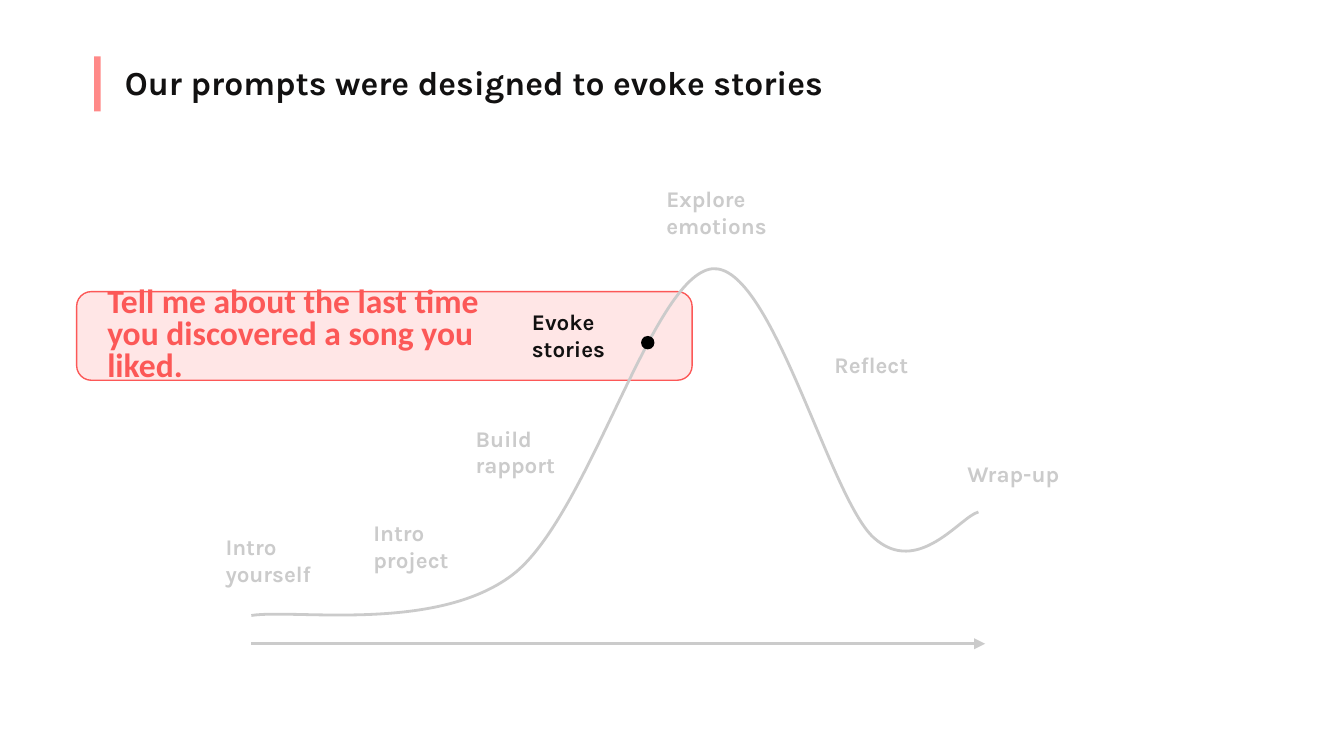
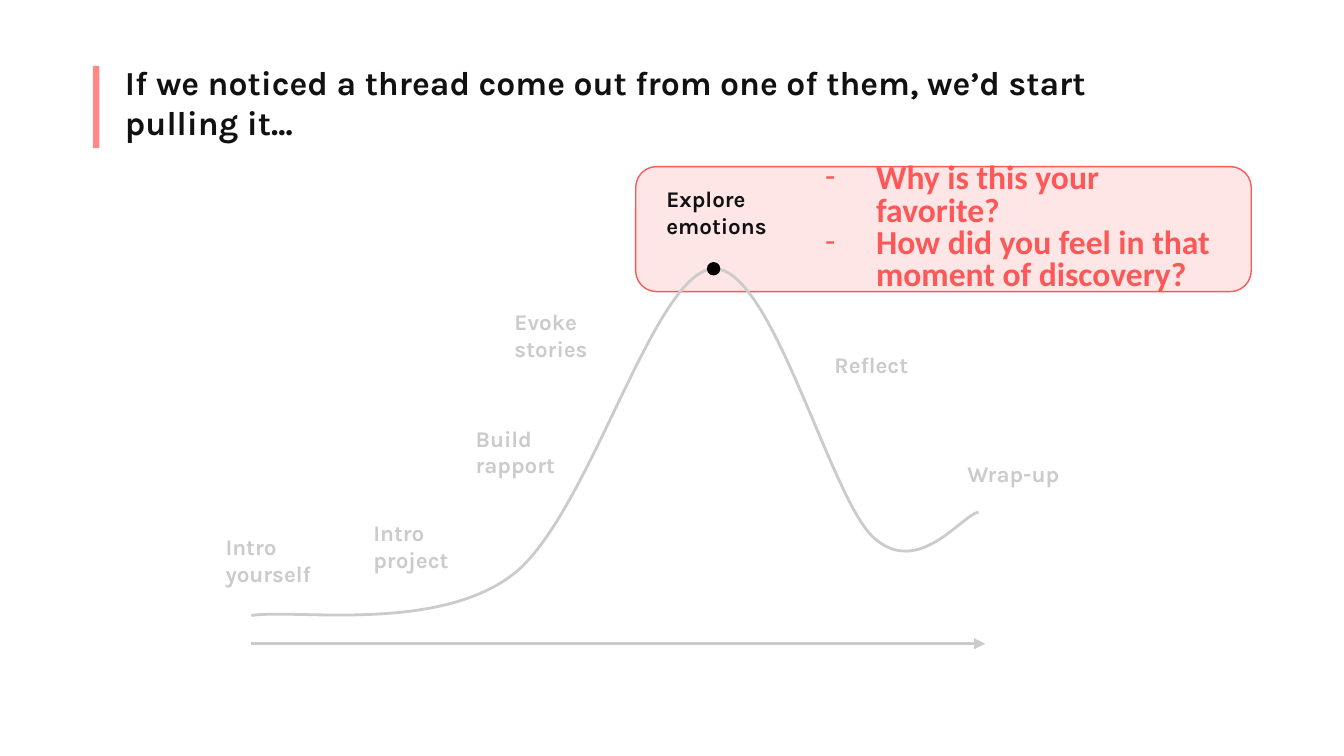
from dataclasses import dataclass

from lxml.etree import SubElement
from pptx import Presentation
from pptx.dml.color import RGBColor
from pptx.enum.shapes import MSO_CONNECTOR, MSO_SHAPE
from pptx.enum.text import MSO_ANCHOR, MSO_AUTO_SIZE, PP_ALIGN
from pptx.oxml.ns import qn
from pptx.shapes.base import BaseShape
from pptx.slide import Slide
from pptx.text.text import TextFrame
from pptx.util import Inches, Pt

INK = RGBColor(0x12, 0x11, 0x11)
BLACK = RGBColor(0, 0, 0)
GREY = RGBColor(0xCB, 0xCB, 0xCB)
CORAL = RGBColor(0xFC, 0x58, 0x57)
BLUSH = RGBColor(0xFF, 0xDE, 0xDE)
ACCENT = RGBColor(0xFF, 0x89, 0x88)

HEADING_FONT = "Karla"
PROMPT_FONT = "Calibri"
PAGE_WIDTH = 10
INSET = Inches(0.1)
DOT_SIZE = 0.1
LABEL_HEIGHT = 0.51

CURVE_POINTS = [
    (1.87, 4.58),
    (2.19, 4.53), (3.24, 4.71), (3.81, 4.28),
    (4.38, 3.85), (4.85, 2.05), (5.3, 2),
    (5.74, 1.96), (6.17, 3.7), (6.5, 4),
    (6.83, 4.3), (7.15, 3.84), (7.28, 3.81),
]


@dataclass(frozen=True)
class Area:
    left: float
    top: float
    width: float
    height: float

    def lengths(self) -> tuple:
        return tuple(map(Inches, (self.left, self.top, self.width, self.height)))


@dataclass(frozen=True)
class Stage:
    name: str
    left: float
    top: float
    width: float = 1
    anchor: MSO_ANCHOR = MSO_ANCHOR.TOP


@dataclass(frozen=True)
class StoryPage:
    title: str
    bar: Area
    active: str
    evoke_left: float
    callout: Area
    prompt_area: Area
    prompts: tuple[str, ...]
    dot: tuple[float, float]


STAGES = [
    Stage("Intro yourself", 1.58, 3.87),
    Stage("Intro project", 2.68, 3.76),
    Stage("Build rapport", 3.44, 3.06),
    Stage("Explore emotions", 4.86, 1.28),
    Stage("Reflect", 6.11, 2.51, 1.31),
    Stage("Wrap-up", 7.1, 3.32, 1.31),
]

PAGES = [
    StoryPage(
        title="Our prompts were designed to evoke stories",
        bar=Area(0.7, 0.42, 0.05, 0.41),
        active="Evoke stories",
        evoke_left=3.86,
        callout=Area(0.57, 2.17, 4.58, 0.66),
        prompt_area=Area(0.7, 2.37, 3.33, 0.26),
        prompts=("Tell me about the last time you discovered a song you liked.",),
        dot=(4.77, 2.5),
    ),
    StoryPage(
        title="If we noticed a thread come out from one of them, we’d start pulling it...",
        bar=Area(0.69, 0.49, 0.05, 0.61),
        active="Explore emotions",
        evoke_left=3.73,
        callout=Area(4.73, 1.24, 4.58, 0.93),
        prompt_area=Area(5.92, 1.49, 3.31, 0.42),
        prompts=("Why is this your favorite?", "How did you feel in that moment of discovery?"),
        dot=(5.26, 1.95),
    ),
]


def add_dash(para) -> None:
    properties = para._p.get_or_add_pPr()
    properties.set("marL", str(Inches(0.5)))
    properties.set("indent", str(Inches(-0.38)))
    color = SubElement(properties, qn("a:buClr"))
    SubElement(color, qn("a:srgbClr"), val=str(CORAL))
    SubElement(properties, qn("a:buFont"), typeface=PROMPT_FONT)
    SubElement(properties, qn("a:buChar"), char="-")


def write_text(frame: TextFrame, *lines: str, font: str = HEADING_FONT, size: int = 12,
               color: RGBColor = INK, anchor: MSO_ANCHOR = MSO_ANCHOR.TOP,
               spacing: float = 1.0, dashed: bool = False) -> None:
    frame.word_wrap = True
    frame.auto_size = MSO_AUTO_SIZE.NONE
    frame.vertical_anchor = anchor
    frame.margin_left = frame.margin_right = INSET
    frame.margin_top = frame.margin_bottom = INSET
    for index, line in enumerate(lines):
        para = frame.add_paragraph() if index else frame.paragraphs[0]
        if dashed:
            add_dash(para)
        para.alignment = PP_ALIGN.LEFT
        para.line_spacing = spacing
        span = para.add_run()
        span.text = line
        span.font.name = font
        span.font.size = Pt(size)
        span.font.bold = True
        span.font.color.rgb = color


def add_filled(page: Slide, kind: MSO_SHAPE, area: Area, color: RGBColor) -> BaseShape:
    shape = page.shapes.add_shape(kind, *area.lengths())
    shape.shadow.inherit = False
    shape.fill.solid()
    shape.fill.fore_color.rgb = color
    shape.line.fill.background()
    return shape


def add_callout(page: Slide, area: Area) -> None:
    box = add_filled(page, MSO_SHAPE.ROUNDED_RECTANGLE, area, BLUSH)
    box.line.color.rgb = CORAL
    box.line.width = Pt(0.75)
    fill_color = box._element.spPr.find(qn("a:solidFill")).find(qn("a:srgbClr"))
    SubElement(fill_color, qn("a:alpha"), val="74000")


def add_time_arrow(page: Slide) -> None:
    arrow = page.shapes.add_connector(
        MSO_CONNECTOR.STRAIGHT, Inches(1.87), Inches(4.79), Inches(7.33), Inches(4.79))
    arrow.line.color.rgb = GREY
    arrow.line.width = Pt(1.5)
    SubElement(arrow.line._get_or_add_ln(), qn("a:tailEnd"), type="triangle")
    SubElement(arrow._element.spPr, qn("a:effectLst"))


def add_curve(page: Slide) -> None:
    points = [(Inches(x), Inches(y)) for x, y in CURVE_POINTS]
    builder = page.shapes.build_freeform(*points[0])
    builder.add_line_segments(points[1:], close=False)
    curve = builder.convert_to_shape()
    curve.shadow.inherit = False
    curve.fill.background()
    curve.line.color.rgb = GREY
    curve.line.width = Pt(1.5)
    segments = list(curve._element.iter(qn("a:lnTo")))
    outline = segments[0].getparent()
    for start in range(0, len(segments), 3):
        bezier = SubElement(outline, qn("a:cubicBezTo"))
        for segment in segments[start:start + 3]:
            bezier.append(segment[0])
            outline.remove(segment)


def add_stage(page: Slide, stage: Stage, active: bool) -> None:
    area = Area(stage.left, stage.top, stage.width, LABEL_HEIGHT)
    label = page.shapes.add_textbox(*area.lengths())
    write_text(label.text_frame, stage.name, color=INK if active else GREY, anchor=stage.anchor)


def add_title(page: Slide, text: str, bar: Area) -> None:
    title = page.shapes.title
    title.left, title.top, title.width, title.height = Area(0.83, 0.36, 7.85, 0.54).lengths()
    write_text(title.text_frame, text, size=18)
    add_filled(page, MSO_SHAPE.RECTANGLE, bar, ACCENT)


def add_story_page(deck, story: StoryPage) -> None:
    page = deck.slides.add_slide(deck.slide_layouts[5])
    add_title(page, story.title, story.bar)
    add_callout(page, story.callout)
    add_time_arrow(page)
    add_curve(page)
    evoke = Stage("Evoke stories", story.evoke_left, 2.24, anchor=MSO_ANCHOR.MIDDLE)
    for stage in [*STAGES, evoke]:
        add_stage(page, stage, stage.name == story.active)
    prompt = page.shapes.add_textbox(*story.prompt_area.lengths())
    write_text(prompt.text_frame, *story.prompts, font=PROMPT_FONT, size=18, color=CORAL,
               anchor=MSO_ANCHOR.MIDDLE, spacing=0.8, dashed=len(story.prompts) > 1)
    add_filled(page, MSO_SHAPE.OVAL, Area(*story.dot, DOT_SIZE, DOT_SIZE), BLACK)


def main() -> None:
    deck = Presentation()
    deck.slide_width = Inches(PAGE_WIDTH)
    deck.slide_height = Inches(PAGE_WIDTH * 9 / 16)
    for story in PAGES:
        add_story_page(deck, story)
    deck.save("out.pptx")


if __name__ == "__main__":
    main()
